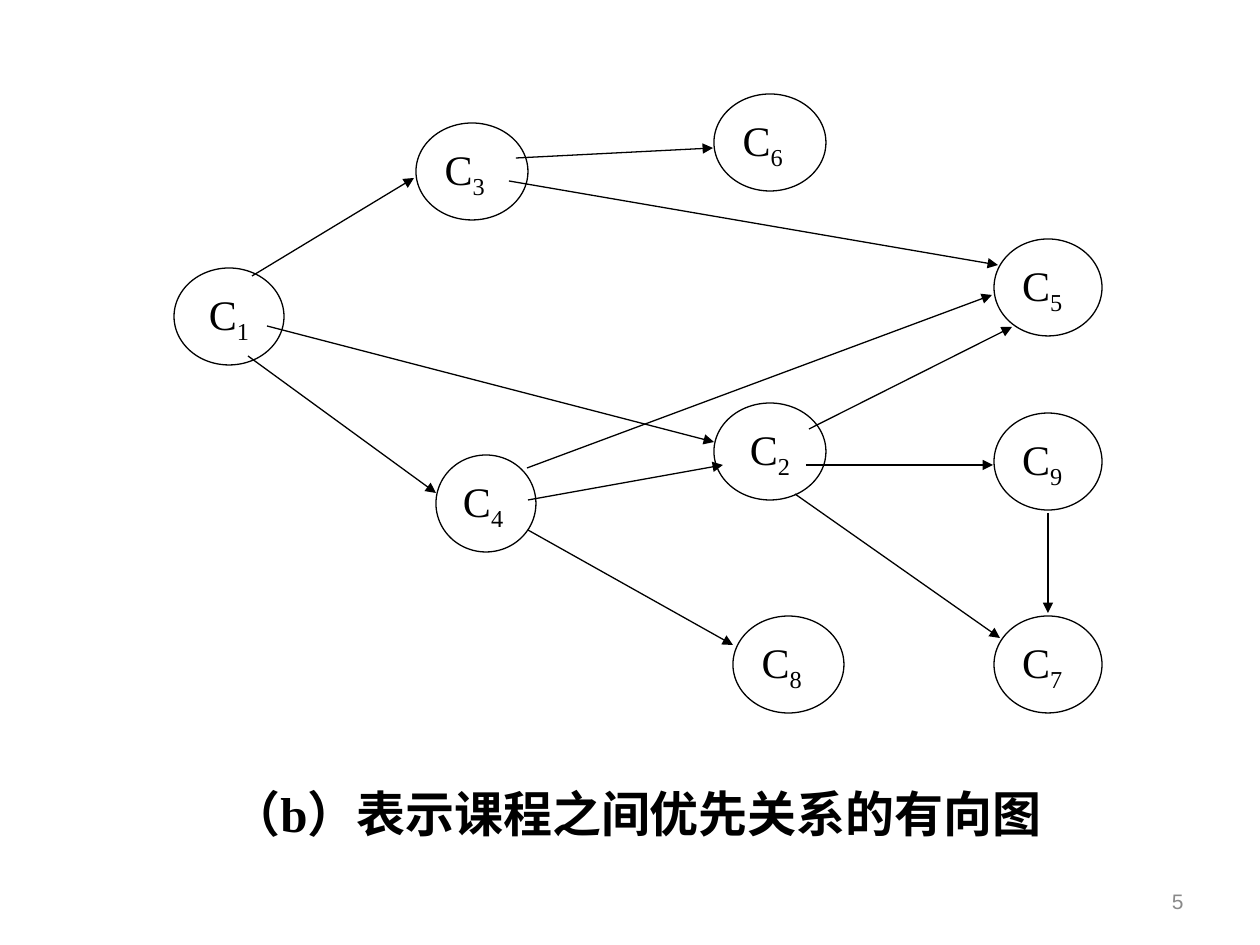
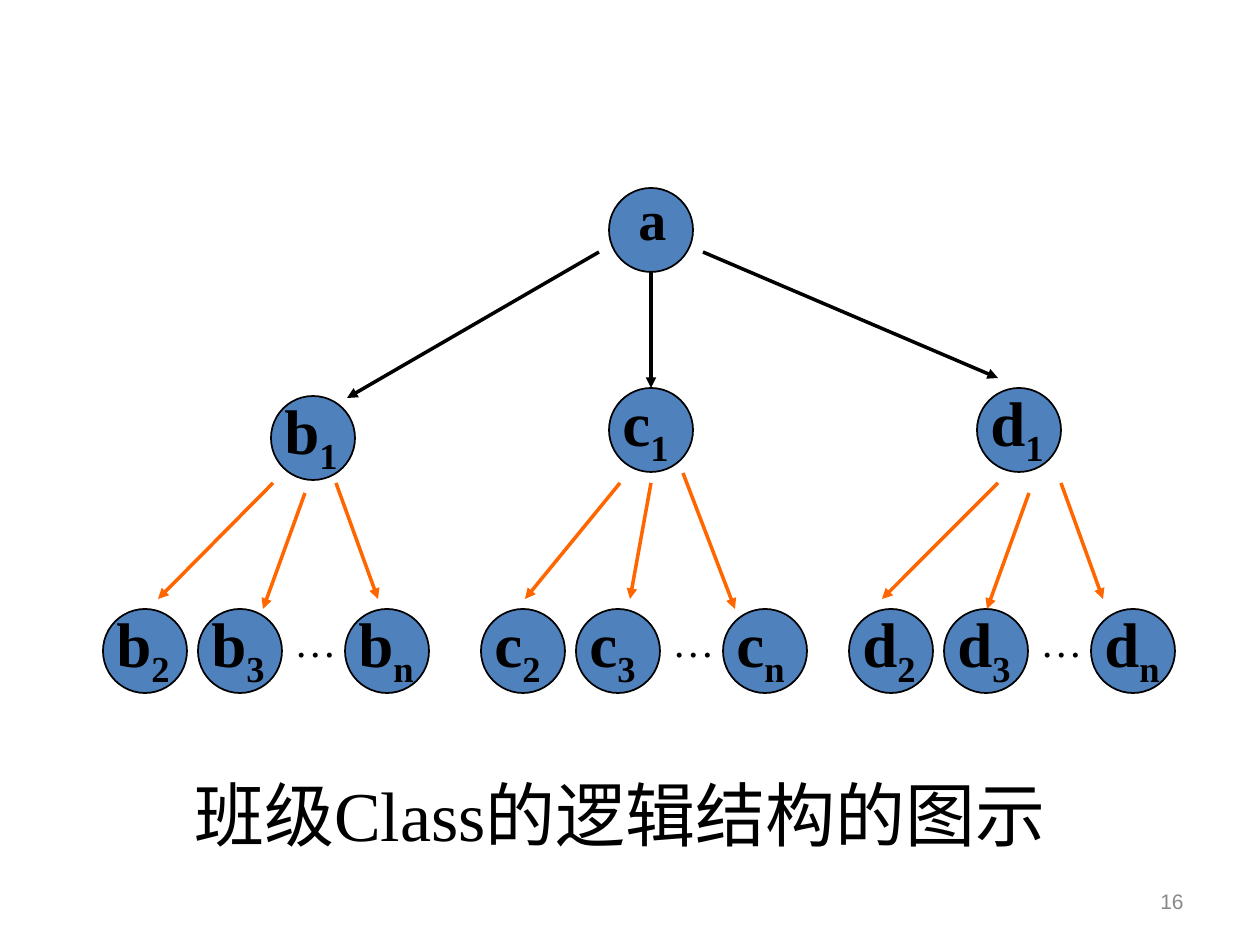
from lxml import etree
from pptx import Presentation
from pptx import util as u
from pptx.dml.color import RGBColor
from pptx.enum import shapes, text
from pptx.oxml import ns

EMU_PER_PX = 914400 / 126
BLACK = RGBColor(0x00, 0x00, 0x00)
WHITE = RGBColor(0xFF, 0xFF, 0xFF)
BLUE = RGBColor(0x4F, 0x81, 0xBD)
ORANGE = RGBColor(0xFF, 0x66, 0x00)
GRAY = RGBColor(0x89, 0x89, 0x89)
SERIF, SANS = "Times New Roman", "Arial"
ALIGN, ANCHOR = text.PP_ALIGN, text.MSO_ANCHOR

COURSE_FORMAT = {"size": u.Pt(24)}
CAPTION_FORMAT = {"size": u.Pt(28), "bold": True}
TITLE_FORMAT = {"size": u.Pt(40)}
ROOT_FORMAT = {"size": u.Pt(32), "bold": True}
MEMBER_FORMAT = {"size": u.Pt(36), "bold": True}
NUMBER_FORMAT = {"size": u.Pt(12), "name": SANS}

GRAPH_BOX = (174, 94, 928, 620)
# Course number: left, top, width within the graph box, alignment
COURSE_HEIGHT = 97
COURSES = {
    1: (0, 174, 110, ALIGN.CENTER),
    2: (540, 309, 112, ALIGN.CENTER),
    3: (242, 29, 112, ALIGN.JUSTIFY),
    6: (540, 0, 112, ALIGN.JUSTIFY),
    4: (262, 361, 100, ALIGN.JUSTIFY),
    5: (820, 145, 108, ALIGN.JUSTIFY),
    9: (820, 319, 108, ALIGN.JUSTIFY),
    7: (820, 522, 108, ALIGN.JUSTIFY),
    8: (559, 522, 111, ALIGN.JUSTIFY),
}
# Start and end points within the graph box
PREREQUISITES = [
    (78, 182, 240, 84),
    (74, 262, 262, 399),
    (93, 232, 540, 348),
    (342, 64, 539, 54),
    (354, 406, 549, 371),
    (354, 436, 559, 551),
    (353, 374, 818, 201),
    (635, 335, 838, 233),
    (335, 87, 824, 171),
    (632, 371, 819, 371),
    (621, 400, 826, 544),
    (874, 419, 874, 519),
]

NODE = 84
LEAF_TOP = 221
LEAF_LEFTS = {"2": 0, "3": 95, "n": 242}
TREE_BOX = (103, 188, 1071, 505)
ROOT_LEFT = 506
ROOT_ARROWS = [(496, 64, 244, 210), (548, 84, 548, 200), (600, 64, 895, 190)]
# Group letter: left within the tree box, head left and top, arrows within the group
GROUPS = {
    "b": (0, 168, 8,
          [(170, 95, 55, 211), (202, 105, 160, 221), (233, 95, 275, 211)]),
    "c": (378, 128, 0,
          [(139, 95, 44, 211), (170, 95, 149, 211), (202, 85, 254, 221)]),
    "d": (746, 128, 0,
          [(149, 95, 33, 211), (180, 105, 138, 221), (212, 95, 254, 211)]),
}
GROUP_TOP = 200


def px(*lengths):
    return [u.Emu(round(length * EMU_PER_PX)) for length in lengths]


def write(shape, words, values, subscript="", color=BLACK,
          align=ALIGN.LEFT, anchor=ANCHOR.TOP):
    frame = shape.text_frame
    frame.word_wrap = True
    frame.vertical_anchor = anchor
    paragraph = frame.paragraphs[0]
    paragraph.alignment = align
    for part in filter(None, (words, subscript)):
        run = paragraph.add_run()
        run.text = part
        for name, value in {"name": SERIF, **values}.items():
            setattr(run.font, name, value)
        run.font.color.rgb = color
    if subscript:
        run.font._element.set("baseline", "-25000")


def add_label(slide, box, words, values, **options):
    write(slide.shapes.add_textbox(*px(*box)), words, values, **options)


def add_ellipse(slide, box, fill, line_width):
    shape = slide.shapes.add_shape(shapes.MSO_SHAPE.OVAL, *px(*box))
    shape.shadow.inherit = False
    shape.fill.solid()
    shape.fill.fore_color.rgb = fill
    shape.line.color.rgb = BLACK
    shape.line.width = u.Pt(line_width)
    return shape


def add_arrows(slide, left, top, arrows, color, width):
    """Draw arrows whose end points are relative to left and top."""
    for x1, y1, x2, y2 in arrows:
        arrow = slide.shapes.add_connector(
            shapes.MSO_CONNECTOR.STRAIGHT,
            *px(left + x1, top + y1, left + x2, top + y2))
        arrow.line.color.rgb = color
        arrow.line.width = u.Pt(width)
        etree.SubElement(arrow.line._get_or_add_ln(), ns.qn("a:tailEnd"), type="triangle")
        etree.SubElement(arrow._element.spPr, ns.qn("a:effectLst"))


def add_slide(presentation, number):
    slide = presentation.slides.add_slide(presentation.slide_layouts[6])
    add_label(slide, (903, 876, 293, 50), number, NUMBER_FORMAT,
              color=GRAY, align=ALIGN.RIGHT, anchor=ANCHOR.MIDDLE)
    return slide


def add_course_graph(slide, box):
    left, top = box[:2]
    for number, (x, y, width, align) in COURSES.items():
        course = add_ellipse(slide, (left + x, top + y, width, COURSE_HEIGHT), WHITE, 0.75)
        write(course, "C", COURSE_FORMAT, subscript=str(number), align=align)
    add_arrows(slide, left, top, PREREQUISITES, BLACK, 0.75)


def add_member(slide, left, top, letter, index):
    add_ellipse(slide, (left, top, NODE, NODE), BLUE, 1)
    add_label(slide, (left + 1, top - 11, NODE, 98), letter, MEMBER_FORMAT, subscript=index)


def add_group(slide, left, top, letter, head_left, head_top, arrows):
    add_member(slide, left + head_left, top + head_top, letter, "1")
    for index, x in LEAF_LEFTS.items():
        add_member(slide, left + x, top + LEAF_TOP, letter, index)
    add_label(slide, (left + 179, top + LEAF_TOP, 73, 63), "…", COURSE_FORMAT)
    add_arrows(slide, left, top, arrows, ORANGE, 2)


def add_class_tree(slide, box):
    left, top = box[:2]
    add_ellipse(slide, (left + ROOT_LEFT, top, NODE, NODE), BLUE, 1)
    add_label(slide, (left + ROOT_LEFT + 17, top - 10, 53, 79), "a", ROOT_FORMAT)
    for letter, (x, *group) in GROUPS.items():
        add_group(slide, left + x, top + GROUP_TOP, letter, *group)
    add_arrows(slide, left, top, ROOT_ARROWS, BLACK, 2)


def main():
    presentation = Presentation()
    presentation.slide_width, presentation.slide_height = px(1260, 945)

    slide = add_slide(presentation, "5")
    add_course_graph(slide, GRAPH_BOX)
    add_label(slide, (219, 777, 895, 94), "（b）表示课程之间优先关系的有向图", CAPTION_FORMAT)

    slide = add_slide(presentation, "16")
    add_class_tree(slide, TREE_BOX)
    add_label(slide, (53, 765, 1134, 97), "班级Class的逻辑结构的图示",
              TITLE_FORMAT, align=ALIGN.CENTER)

    presentation.save("out.pptx")


if __name__ == "__main__":
    main()
